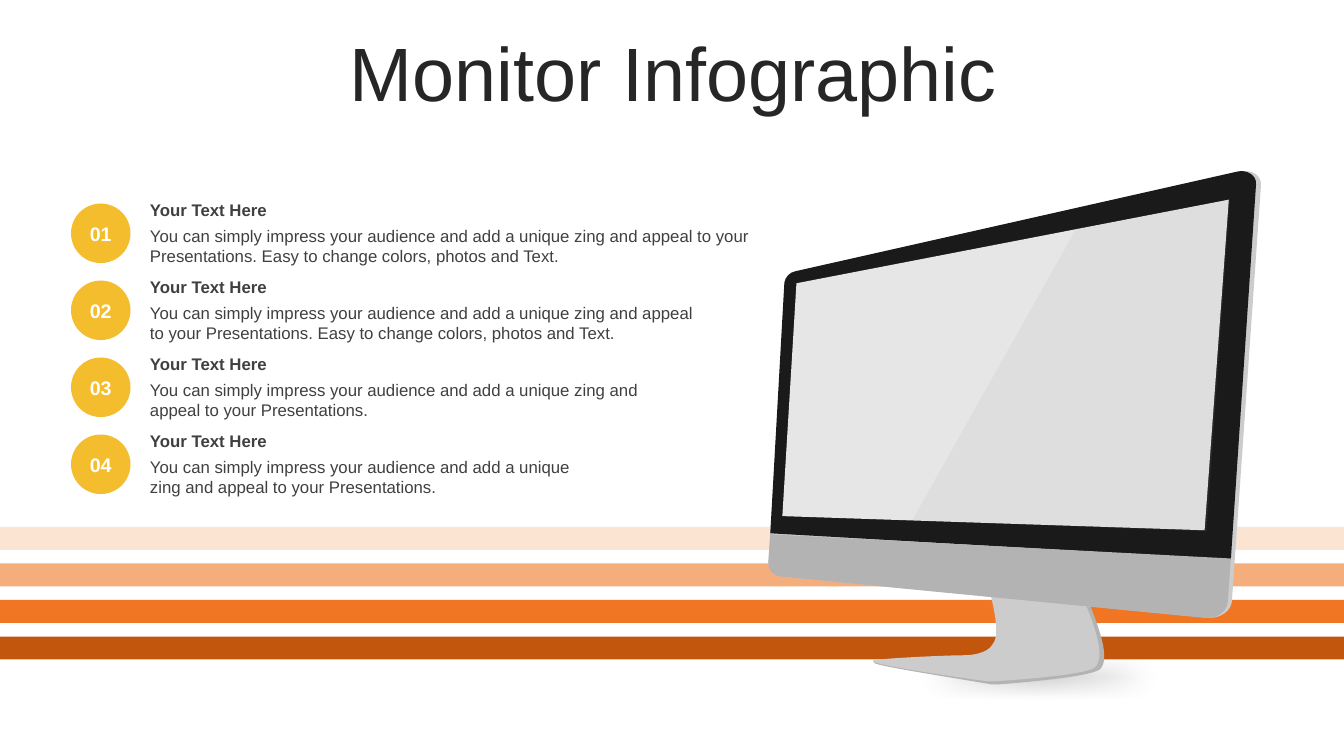
from dataclasses import dataclass

from lxml.etree import SubElement
from pptx import Presentation
from pptx.dml.color import RGBColor
from pptx.enum.shapes import MSO_SHAPE as SHAPE
from pptx.enum.text import MSO_ANCHOR as ANCHOR, MSO_AUTO_SIZE as AUTO, PP_ALIGN as ALIGN
from pptx.oxml.ns import qn
from pptx.util import Cm, Pt


@dataclass(frozen=True)
class Theme:
    """Colours, font and type sizes of the slide."""
    font: str = "Arial"
    title_size: int = 54
    number_size: int = 14
    body_size: int = 12
    title: str = "262626"
    text: str = "404040"
    white: str = "FFFFFF"
    badge: str = "F4BD2D"
    stripes: tuple = ("FCE4D3", "F6AD7C", "F07624", "C2560D")
    bezel: str = "1A1A1A"
    screen: str = "E6E6E6"
    light_metal: str = "CCCCCC"
    dark_metal: str = "B3B3B3"
    glare: str = "999999"
    shadow: str = "808080"


THEME = Theme()
GRID_WIDTH = 491
PITCH = 1.94
BODY = "You can simply impress your audience and add a unique zing and appeal to your Presentations."
LONG_BODY = BODY + " Easy to change colors, photos and Text."
ITEMS = ((LONG_BODY, 15.65), (LONG_BODY, 14.35), (BODY, 12.85), (BODY, 11.38))

STAND_EDGE = (
    (227, 423), (230, 442, 232, 453, 231, 464), (231, 467, 230, 470, 228, 474),
    (222, 482, 208, 484, 200, 484), (174, 484, 121, 487, 112, 487),
    (111, 487, 106, 487, 106, 488), (106, 488, 108, 490, 108, 490),
    (111, 493, 208, 508, 224, 511), (226, 511, 227, 511, 229, 511),
    (243, 510, 321, 504, 331, 496), (342, 486, 330, 455, 322, 434),
    (325, 431, 277, 426, 227, 423))
STAND = (
    (223, 423), (227, 441, 229, 452, 228, 463), (227, 466, 227, 468, 224, 472),
    (219, 480, 204, 482, 197, 482), (178, 482, 116, 485, 107, 487),
    (93, 490, 204, 506, 221, 508), (222, 508, 224, 508, 225, 508),
    (239, 507, 317, 502, 326, 494), (337, 485, 326, 454, 318, 434),
    (321, 431, 273, 426, 223, 423))
SHELL = (
    (440, 445), (15, 404), (8, 403, 2, 397, 2, 391), (19, 123),
    (19, 107, 23, 102, 30, 101), (472, 2), (482, 0, 491, 6, 491, 15),
    (462, 429), (461, 438, 451, 445, 440, 445))
BEZEL = (
    (461, 387), (4, 361), (18, 112), (19, 107, 23, 102, 29, 101),
    (468, 2), (477, 0, 487, 6, 486, 15))
SCREEN = ((435, 358), (16, 344), (30, 113), (459, 30))
CHIN = (
    (4, 362), (2, 391), (2, 398, 7, 403, 15, 404), (436, 445),
    (447, 446, 457, 439, 458, 429), (461, 386))
GLARE = ((307, 60), (460, 30), (437, 359), (145, 348))


def write(tf, text, size=THEME.body_size, color=THEME.text, bold=False,
          align=ALIGN.LEFT, anchor=ANCHOR.TOP, wrap=True, spacing=1.0):
    """Put one formatted paragraph in a text frame."""
    tf.word_wrap = wrap
    tf.auto_size = AUTO.NONE
    tf.vertical_anchor = anchor
    p = tf.paragraphs[0]
    p.alignment = align
    p.line_spacing = spacing
    p.space_before = Pt(0)
    r = p.add_run()
    r.text = text
    r.font.name = THEME.font
    r.font.size = Pt(size)
    r.font.bold = bold
    r.font.color.rgb = RGBColor.from_string(color)


def paint(sp, color, opacity=None):
    """Give a shape a plain fill without line or shadow."""
    sp.shadow.inherit = False
    sp.line.fill.background()
    sp.fill.solid()
    sp.fill.fore_color.rgb = RGBColor.from_string(color)
    if opacity is not None:
        clr = sp._element.spPr.find(qn("a:solidFill"))[0]
        SubElement(clr, qn("a:alpha"), val=str(opacity * 1000))


def add_title(slide, left, top, width, height):
    """Place the title placeholder in its box."""
    sp = slide.shapes.title
    sp.left, sp.top, sp.width, sp.height = Cm(left), Cm(top), Cm(width), Cm(height)
    write(sp.text_frame, "Monitor Infographic", size=THEME.title_size, color=THEME.title,
          align=ALIGN.CENTER, anchor=ANCHOR.MIDDLE, spacing=0.9)


def add_stripes(slide, top, width, height=0.58, pitch=0.92):
    """Draw the horizontal stripes across the slide."""
    for i, color in enumerate(THEME.stripes):
        sp = slide.shapes.add_shape(SHAPE.RECTANGLE, 0, Cm(top + i * pitch), width, Cm(height))
        paint(sp, color)


def add_item(slide, left, top, width, number, text):
    """Draw a numbered badge with its heading and description."""
    for words, offset, height, bold in ((text, 0.67, 1.27, False),
                                        ("Your Text Here", 0, 0.76, True)):
        box = slide.shapes.add_textbox(Cm(left + 1.74), Cm(top + offset), Cm(width), Cm(height))
        write(box.text_frame, words, bold=bold)
    sp = slide.shapes.add_shape(SHAPE.OVAL, Cm(left), Cm(top + 0.23), Cm(1.5), Cm(1.5))
    paint(sp, THEME.badge)
    tf = sp.text_frame
    tf.margin_left = tf.margin_right = 0
    write(tf, f"{number:02d}", size=THEME.number_size, color=THEME.white, bold=True,
          align=ALIGN.CENTER, anchor=ANCHOR.MIDDLE, wrap=False)


def add_floor_shadow(slide, left, top, width, height):
    """Draw the soft oval shadow under the stand."""
    sp = slide.shapes.add_shape(SHAPE.OVAL, Cm(left), Cm(top), Cm(width), Cm(height))
    paint(sp, THEME.shadow)
    effects = sp._element.spPr.find(qn("a:effectLst"))
    SubElement(effects, qn("a:softEdge"), rad=str(Cm(0.54)))


def add_outline(slide, left, top, unit, outline):
    """Build a closed freeform whose six-number parts are cubic curves."""
    points = [(part[i] * unit, part[i + 1] * unit)
              for part in outline for i in range(0, len(part), 2)]
    builder = slide.shapes.build_freeform(*points[0])
    builder.add_line_segments(points[1:], close=True)
    sp = builder.convert_to_shape(Cm(left), Cm(top))
    lines = list(sp._element.iter(qn("a:lnTo")))
    for part in outline[1:]:
        count = len(part) // 2
        segment, lines = lines[:count], lines[count:]
        if count == 3:
            segment[0].tag = qn("a:cubicBezTo")
            for line in segment[1:]:
                segment[0].append(line[0])
                line.getparent().remove(line)
    return sp


def add_monitor(slide, left, top, width):
    """Draw the monitor from back to front, scaled to its width."""
    unit = Cm(width) / GRID_WIDTH
    for outline, color, opacity in (
            (STAND_EDGE, THEME.dark_metal, None), (STAND, THEME.light_metal, None),
            (SHELL, THEME.light_metal, None), (BEZEL, THEME.bezel, None),
            (SCREEN, THEME.screen, None), (CHIN, THEME.dark_metal, None),
            (GLARE, THEME.glare, 10)):
        paint(add_outline(slide, left, top, unit, outline), color, opacity)


def main():
    """Build the slide and save it."""
    prs = Presentation()
    prs.slide_width, prs.slide_height = Cm(33.87), Cm(19.05)
    slide = prs.slides.add_slide(prs.slide_layouts[5])
    add_floor_shadow(slide, 20, 16.43, 12.32, 1.24)
    add_stripes(slide, 13.28, prs.slide_width)
    add_monitor(slide, 19.31, 4.27, 12.47)
    add_title(slide, 0.89, 0.94, 32.16, 2)
    for i, (text, width) in enumerate(ITEMS):
        add_item(slide, 1.79, 4.9 + i * PITCH, width, i + 1, text)
    prs.save("out.pptx")


if __name__ == "__main__":
    main()
